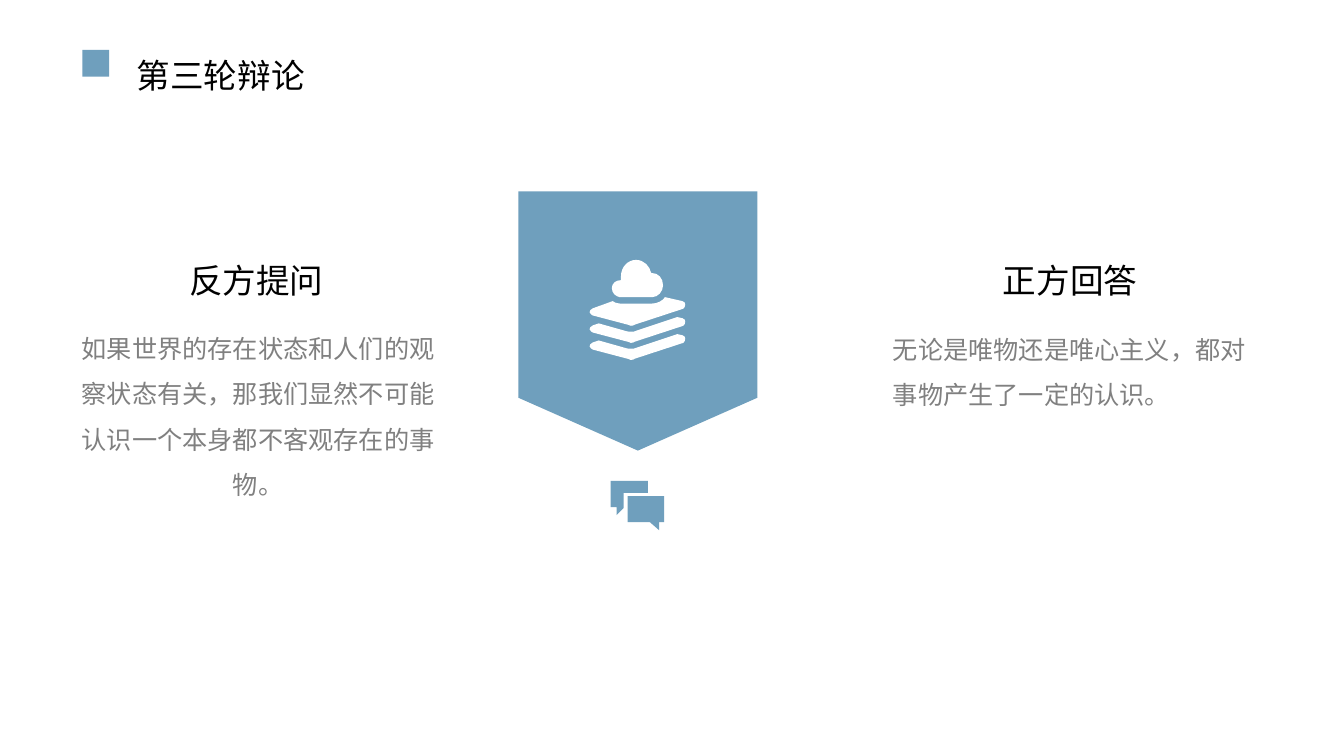
from dataclasses import dataclass

from lxml import etree
from pptx import Presentation
from pptx.dml.color import RGBColor
from pptx.enum.shapes import MSO_SHAPE
from pptx.enum.text import MSO_ANCHOR, MSO_AUTO_SIZE, PP_ALIGN
from pptx.oxml.ns import qn
from pptx.shapes.autoshape import Shape
from pptx.shapes.shapetree import SlideShapes
from pptx.util import Cm, Pt

RECTANGLE, PENTAGON = MSO_SHAPE.RECTANGLE, MSO_SHAPE.PENTAGON
LEFT, CENTER = PP_ALIGN.LEFT, PP_ALIGN.CENTER
TOP, NO_AUTOFIT = MSO_ANCHOR.TOP, MSO_AUTO_SIZE.NONE

BLUE = RGBColor(0x6F, 0x9F, 0xBD)
WHITE = RGBColor(0xFF, 0xFF, 0xFF)
BLACK = RGBColor(0x00, 0x00, 0x00)
GRAY = RGBColor(0x80, 0x80, 0x80)
FONT = "Noto Sans CJK SC"
COMPARISON_LAYOUT = 4

# An outline is a list of steps in cm: (x, y) is a line,
# six numbers are a Bézier curve with two control points and its end.
Step = tuple[float, ...]
Outline = list[Step]


@dataclass(frozen=True)
class TextStyle:
    size: int
    color: RGBColor
    line_spacing: float = 1.0


@dataclass(frozen=True)
class Caption:
    placeholder: int
    text: str
    box: tuple[float, float, float, float]
    style: TextStyle
    align: PP_ALIGN = LEFT


HEADING = TextStyle(24, BLACK)
SPEECH = TextStyle(18, GRAY, 1.5)

CAPTIONS = [
    Caption(0, "第三轮辩论", (3.19, 1.26, 6.53, 1.28), HEADING),
    Caption(1, "反方提问", (4.51, 6.43, 4, 1.28), HEADING),
    Caption(2, "如果世界的存在状态和人们的观察状态有关，那我们显然不可能认识一个本身都不客观存在的事物。",
            (1.79, 7.89, 9.43, 4.75), SPEECH, CENTER),
    Caption(3, "正方回答", (25.02, 6.43, 4, 1.28), HEADING),
    Caption(4, "无论是唯物还是唯心主义，都对事物产生了一定的认识。",
            (22.25, 7.91, 9.53, 2.44), SPEECH),
]

FRONT_BUBBLE: Outline = [
    (15.82, 12.5), (16.74, 12.5), (16.74, 13.16), (16.61, 13.16),
    (16.61, 13.36), (16.38, 13.16), (15.82, 13.16),
]
BACK_BUBBLE: Outline = [
    (15.39, 12.12), (16.33, 12.12), (16.33, 12.42), (15.82, 12.42), (15.72, 12.42),
    (15.72, 12.5), (15.72, 12.8), (15.54, 12.98), (15.54, 12.78), (15.39, 12.78),
]

SHEET_GAP = 0.43
SHEET_EDGE: Outline = [
    (17.2, 8.45),
    (17.25, 8.46, 17.27, 8.5, 17.27, 8.53),
    (17.27, 8.59, 17.25, 8.61, 17.22, 8.64),
    (16, 9.04),
    (15.98, 9.06, 15.94, 9.07, 15.9, 9.07),
    (15.9, 9.07, 15.88, 9.07, 15.85, 9.05),
    (14.94, 8.81),
    (14.91, 8.81, 14.88, 8.76, 14.86, 8.73),
    (14.86, 8.69, 14.88, 8.66, 14.94, 8.63),
]
FOLDED_SHEET: Outline = [
    (17.07, 8.42), *SHEET_EDGE, (15.09, 8.58), (15.8, 8.78),
    (15.85, 8.79, 15.88, 8.79, 15.9, 8.79),
    (15.95, 8.79, 16, 8.79, 16.05, 8.76),
]
TOP_SHEET: Outline = [
    (16.76, 8.35), *SHEET_EDGE, (15.44, 8.45),
    (15.49, 8.48, 15.54, 8.51, 15.62, 8.51),
    (16.43, 8.51),
    (16.56, 8.51, 16.69, 8.45, 16.76, 8.35),
]
CLOUD: Outline = [
    (16.03, 6.55),
    (16.23, 6.55, 16.38, 6.71, 16.41, 6.88),
    (16.43, 6.88, 16.43, 6.88, 16.43, 6.88),
    (16.59, 6.88, 16.71, 7.01, 16.71, 7.19),
    (16.71, 7.34, 16.59, 7.49, 16.43, 7.49),
    (15.62, 7.49),
    (15.52, 7.47, 15.42, 7.39, 15.42, 7.26),
    (15.42, 7.14, 15.52, 7.06, 15.65, 7.06),
    (15.65, 7.01, 15.65, 6.98, 15.65, 6.96),
    (15.65, 6.73, 15.82, 6.55, 16.03, 6.55),
]


def raised(outline: Outline, rise: float) -> Outline:
    return [tuple(value - rise * (i % 2) for i, value in enumerate(step))
            for step in outline]


def ends(outline: Outline) -> list[tuple[int, int]]:
    """Return the end point of every step in EMU."""
    return [(Cm(step[-2]), Cm(step[-1])) for step in outline]


def paint(shape: Shape, color: RGBColor) -> None:
    shape.fill.solid()
    shape.fill.fore_color.rgb = color
    shape.line.fill.background()
    shape.shadow.inherit = False


def bend(icon: Shape, outlines: list[Outline]) -> None:
    """Turn the straight segments of curved steps into Bézier curves."""
    segments = list(icon._element.iter(qn("a:lnTo")))
    steps = [step for outline in outlines for step in outline[1:]]
    for segment, step in zip(segments, steps):
        if len(step) == 2:
            continue
        segment.clear()
        curve = etree.Element(qn("a:cubicBezTo"))
        for x, y in zip(step[::2], step[1::2]):
            etree.SubElement(curve, qn("a:pt"), x=str(Cm(x) - icon.left), y=str(Cm(y) - icon.top))
        segment.getparent().replace(segment, curve)


def draw_icon(shapes: SlideShapes, outlines: list[Outline], color: RGBColor) -> None:
    first, *others = [ends(outline) for outline in outlines]
    builder = shapes.build_freeform(*first[0])
    builder.add_line_segments(first[1:], close=True)
    for points in others:
        builder.move_to(*points[0])
        builder.add_line_segments(points[1:], close=True)
    icon = builder.convert_to_shape()
    bend(icon, outlines)
    paint(icon, color)


def write_caption(holder: Shape, caption: Caption) -> None:
    holder.left, holder.top, holder.width, holder.height = map(Cm, caption.box)
    frame = holder.text_frame
    frame.text = caption.text
    frame.word_wrap = True
    frame.auto_size = NO_AUTOFIT
    frame.vertical_anchor = TOP

    paragraph = frame.paragraphs[0]
    properties = paragraph._p.get_or_add_pPr()
    properties.set("marL", "0")
    properties.set("indent", "0")
    etree.SubElement(properties, qn("a:buNone"))
    paragraph.alignment = caption.align
    paragraph.line_spacing = caption.style.line_spacing
    paragraph.space_before = Pt(0)

    font = paragraph.font
    font.size = Pt(caption.style.size)
    font.bold = False
    font.color.rgb = caption.style.color
    font.name = FONT
    east_asian = etree.SubElement(properties.find(qn("a:defRPr")), qn("a:ea"))
    east_asian.set("typeface", FONT)


def main() -> None:
    deck = Presentation()
    deck.slide_width, deck.slide_height = Cm(33.87), Cm(19.05)
    slide = deck.slides.add_slide(deck.slide_layouts[COMPARISON_LAYOUT])
    shapes = slide.shapes

    holders = {holder.placeholder_format.idx: holder for holder in slide.placeholders}
    for caption in CAPTIONS:
        write_caption(holders[caption.placeholder], caption)

    title_marker = shapes.add_shape(RECTANGLE, Cm(2.08), Cm(1.26), Cm(0.67), Cm(0.67))
    paint(title_marker, BLUE)

    draw_icon(shapes, [FRONT_BUBBLE, BACK_BUBBLE], BLUE)
    banner = shapes.add_shape(PENTAGON, Cm(12.81), Cm(5.08), Cm(6.53), Cm(6.02))
    banner.rotation = 90
    banner.adjustments[0] = 0.221
    paint(banner, BLUE)
    sheets = [FOLDED_SHEET, raised(FOLDED_SHEET, SHEET_GAP), raised(TOP_SHEET, 2 * SHEET_GAP)]
    draw_icon(shapes, [*sheets, CLOUD], WHITE)

    deck.save("out.pptx")


if __name__ == "__main__":
    main()
